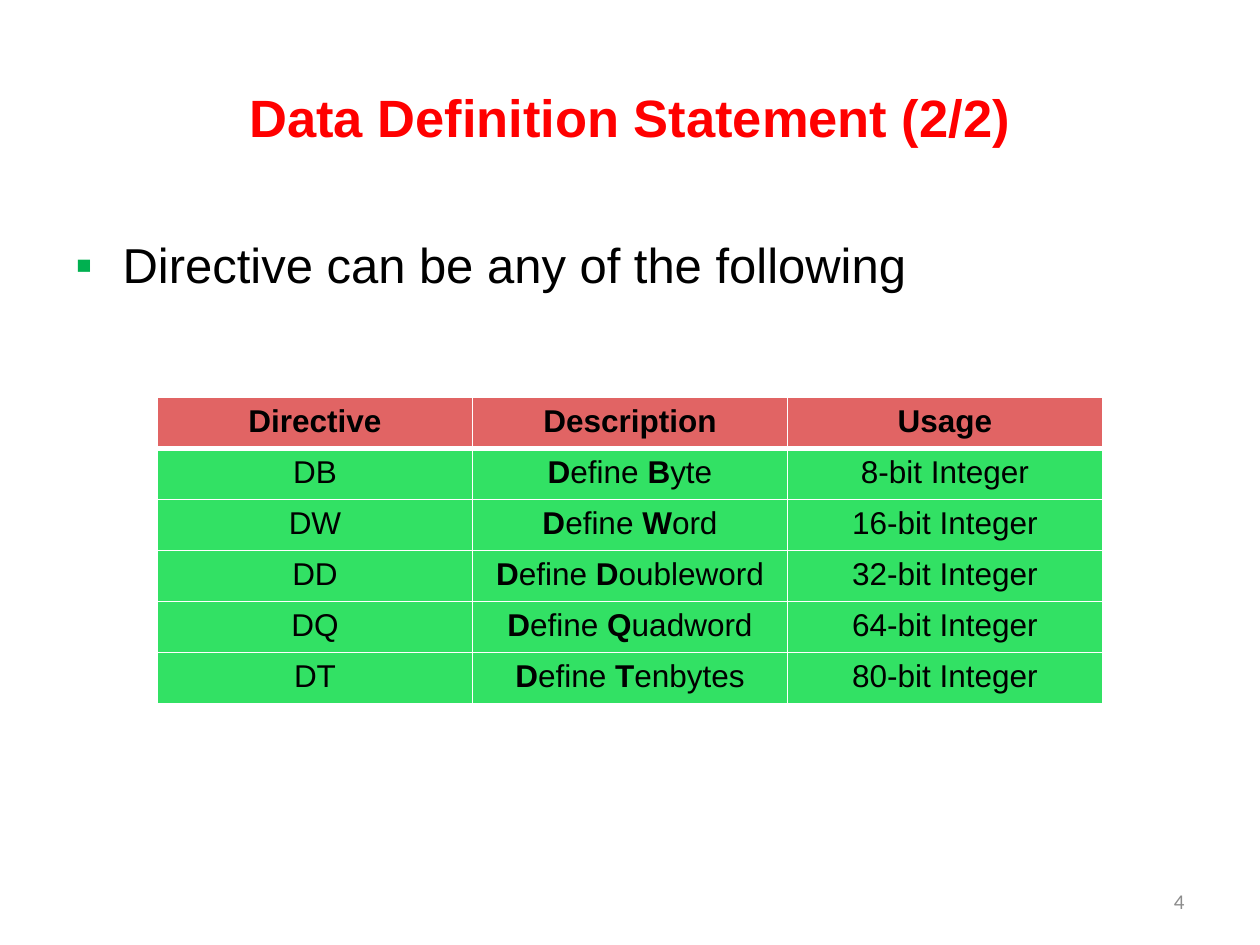
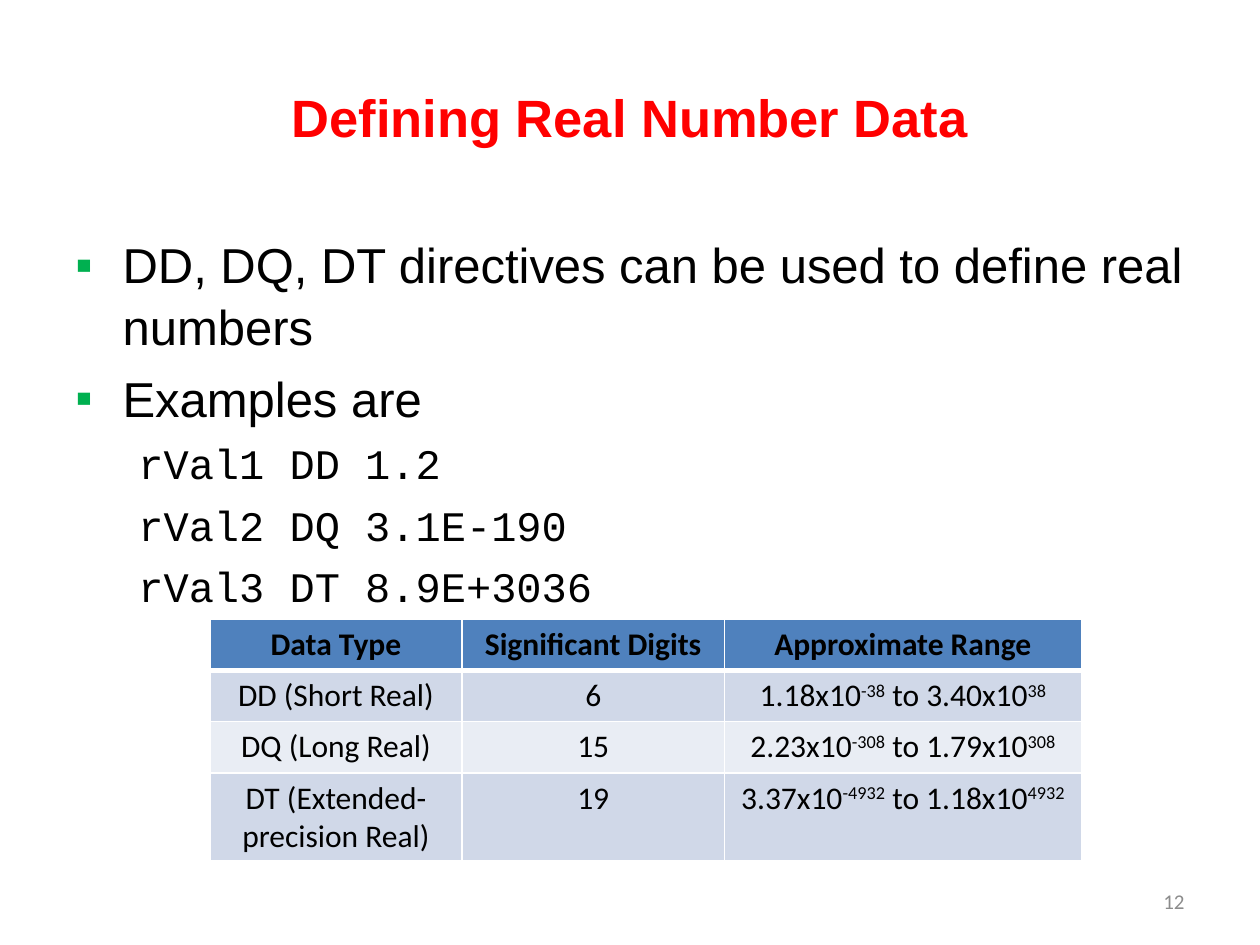
from lxml import etree
from pptx import Presentation
from pptx.dml.color import RGBColor
from pptx.enum.text import MSO_ANCHOR, PP_ALIGN
from pptx.oxml.ns import qn
from pptx.util import Pt

CENTER, RIGHT = PP_ALIGN.CENTER, PP_ALIGN.RIGHT
MIDDLE, TOP = MSO_ANCHOR.MIDDLE, MSO_ANCHOR.TOP

RED, BLACK, GREY, WHITE, BULLET_GREEN = "FF0000", "000000", "8C8C8C", "FFFFFF", "00B050"
TITLE_BOX = (36, 21.6, 648, 90)
BODY_BOX = (36, 126, 648, 356.4)
NUMBER_BOX = (516, 500.4, 168, 28.8)
ROW_HEIGHT = 29.2


def color(value):
    """Turn a hex string into a colour."""
    return RGBColor.from_string(value)


def style(font, name, size, tint=BLACK, bold=False):
    """Set the face, size, colour and weight of a font."""
    font.name, font.size, font.bold = name, Pt(size), bold
    font.color.rgb = color(tint)


def text_box(slide, box, anchor):
    """Add a wrapping text box and return its frame."""
    frame = slide.shapes.add_textbox(*map(Pt, box)).text_frame
    frame.word_wrap = True
    frame.vertical_anchor = anchor
    return frame


def line_of_text(slide, box, words, align, **look):
    """Add one vertically centred line of text."""
    paragraph = text_box(slide, box, MIDDLE).paragraphs[0]
    paragraph.text = words
    paragraph.alignment = align
    style(paragraph.runs[0].font, **look)


def indent(paragraph, left, bullet):
    """Set the left indent and, if asked, a hanging square bullet."""
    props = paragraph._p.get_or_add_pPr()
    props.set("marL", str(Pt(left)))
    props.set("indent", str(Pt(-left if bullet else 0)))
    if bullet:
        tint = etree.SubElement(props, qn("a:buClr"))
        etree.SubElement(tint, qn("a:srgbClr")).set("val", BULLET_GREEN)
        etree.SubElement(props, qn("a:buFont")).set("typeface", "Arial")
        etree.SubElement(props, qn("a:buChar")).set("char", "▪")
    else:
        etree.SubElement(props, qn("a:buNone"))


def body(slide, box, points, code=()):
    """Add bullet points followed by lines of code."""
    frame = text_box(slide, box, TOP)
    frame.margin_top = Pt(6.5)
    frame.text = "\n".join([*points, *code])
    for index, paragraph in enumerate(frame.paragraphs):
        is_point = index < len(points)
        face, size = ("Arial", 28) if is_point else ("Courier New", 24)
        indent(paragraph, 27 if is_point else 36, is_point)
        paragraph.line_spacing = 1.05
        if index:
            paragraph.space_before = Pt(0.2 * size)
        style(paragraph.runs[0].font, face, size)


def embolden(run):
    """Make a run bold."""
    run.font.bold = True


def superscript(run):
    """Raise a run above the baseline."""
    run.font._element.set("baseline", "30000")


def borders(cell, bottom):
    """Draw white borders round a cell, with a chosen bottom width."""
    props = cell._tc.get_or_add_tcPr()
    edges = (("a:lnL", 1), ("a:lnR", 1), ("a:lnT", 1), ("a:lnB", bottom))
    for place, (tag, width) in enumerate(edges):
        edge = etree.Element(qn(tag), w=str(Pt(width)))
        fill = etree.SubElement(edge, qn("a:solidFill"))
        etree.SubElement(fill, qn("a:srgbClr")).set("val", WHITE)
        props.insert(place, edge)


def fill_cell(cell, words, face, bold, emphasize):
    """Write centred words; every second part between bars is emphasized."""
    paragraph = cell.text_frame.paragraphs[0]
    paragraph.alignment = CENTER
    for index, part in enumerate(words.split("|")):
        if part:
            run = paragraph.add_run()
            run.text = part
            style(run.font, face, 18, bold=bold)
            if index % 2:
                emphasize(run)


def grid(slide, left, top, widths, rows, face, header_fill, band_fills, emphasize, last_height=ROW_HEIGHT):
    """Add a table with a header row and alternating band fills."""
    heights = [ROW_HEIGHT] * (len(rows) - 1) + [last_height]
    table = slide.shapes.add_table(len(rows), len(widths), Pt(left), Pt(top),
                                   Pt(sum(widths)), Pt(sum(heights))).table
    for column, width in zip(table.columns, widths):
        column.width = Pt(width)
    for r, (row, height) in enumerate(zip(rows, heights)):
        table.rows[r].height = Pt(height)
        is_header = r == 0
        tint = header_fill if is_header else band_fills[(r - 1) % len(band_fills)]
        for c, words in enumerate(row):
            cell = table.cell(r, c)
            cell.fill.solid()
            cell.fill.fore_color.rgb = color(tint)
            borders(cell, 3 if is_header else 1)
            fill_cell(cell, words, face, is_header, emphasize)


def new_slide(deck, title, number):
    """Add a blank slide with its title and slide number."""
    slide = deck.slides.add_slide(deck.slide_layouts[6])
    line_of_text(slide, TITLE_BOX, title, CENTER, name="Arial", size=30, tint=RED, bold=True)
    line_of_text(slide, NUMBER_BOX, str(number), RIGHT, name="Calibri", size=12, tint=GREY)
    return slide


def directives_slide(deck):
    """Build the slide listing the data definition directives."""
    slide = new_slide(deck, "Data Definition Statement (2/2)", 4)
    body(slide, BODY_BOX, ["Directive can be any of the following"])
    rows = [("Directive", "Description", "Usage")]
    for unit, bits in (("Byte", 8), ("Word", 16), ("Doubleword", 32), ("Quadword", 64), ("Tenbytes", 80)):
        rows.append((f"D{unit[0]}", f"|D|efine |{unit[0]}|{unit[1:]}", f"{bits}-bit Integer"))
    grid(slide, 90, 227, [180] * 3, rows, "Arial", "E16464", ["32E164"], embolden)


def real_numbers_slide(deck):
    """Build the slide on real number data."""
    slide = new_slide(deck, "Defining Real Number Data", 12)
    body(slide, BODY_BOX,
         ["DD, DQ, DT directives can be used to define real numbers", "Examples are"],
         ["rVal1 DD 1.2", "rVal2 DQ 3.1E-190", "rVal3 DT 8.9E+3036"])
    rows = [
        ("Data Type", "Significant Digits", "Approximate Range"),
        ("DD (Short Real)", "6", "1.18x10|-38| to 3.40x10|38"),
        ("DQ (Long Real)", "15", "2.23x10|-308| to 1.79x10|308"),
        ("DT (Extended-precision Real)", "19", "3.37x10|-4932| to 1.18x10|4932"),
    ]
    grid(slide, 120, 354, [144, 150, 204], rows, "Calibri", "4F81BD", ["D0D8E8", "E9EDF4"],
         superscript, last_height=50.4)


def main():
    """Build and save the deck."""
    deck = Presentation()
    deck.slide_width, deck.slide_height = Pt(720), Pt(540)
    directives_slide(deck)
    real_numbers_slide(deck)
    deck.save("out.pptx")


if __name__ == "__main__":
    main()
